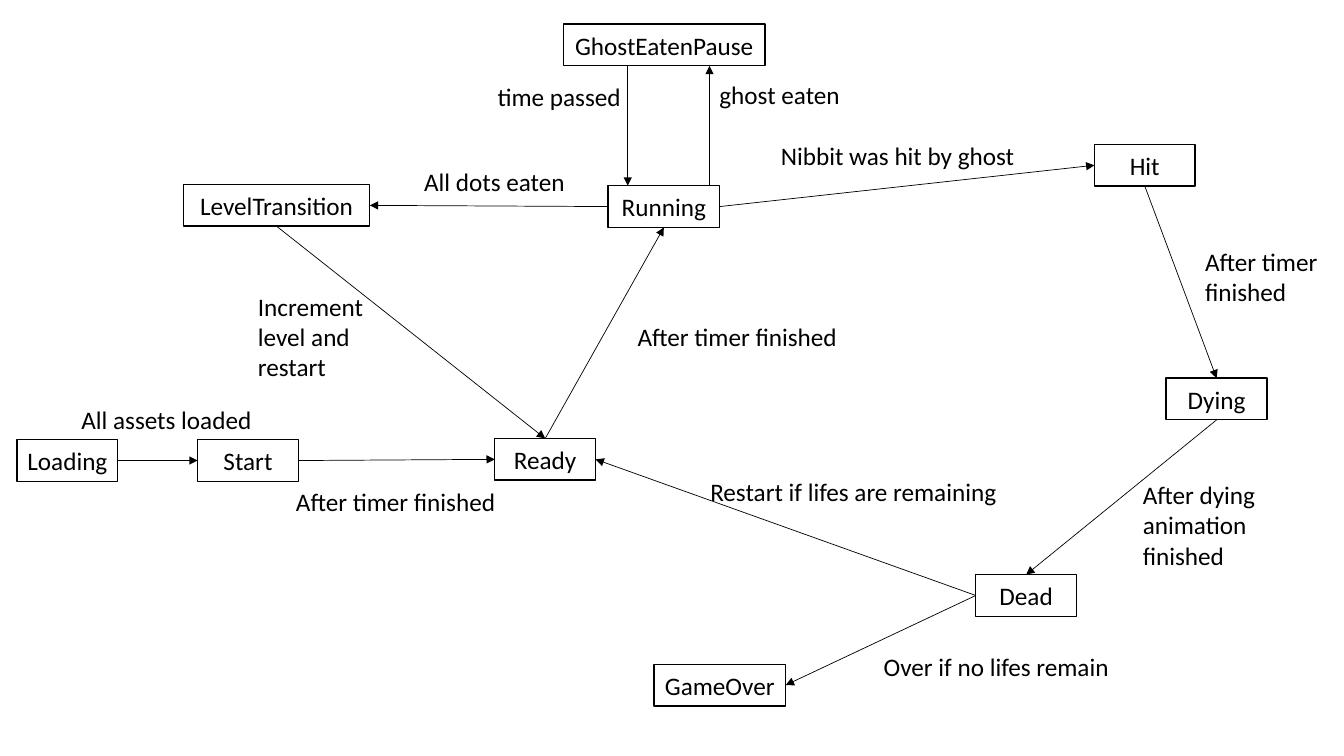
from lxml.etree import SubElement
from pptx import Presentation
from pptx.dml.color import RGBColor
from pptx.enum.shapes import MSO_CONNECTOR, MSO_SHAPE
from pptx.enum.text import MSO_ANCHOR, MSO_AUTO_SIZE, PP_ALIGN
from pptx.oxml.ns import qn
from pptx.util import Cm, Pt

TOP, LEFT, BOTTOM, RIGHT = range(4)
STATE_HEIGHT = 1.05
BLACK = "000000"
WHITE = "FFFFFF"


def color(value):
    return RGBColor.from_string(value)


def write(paragraph, text):
    run = paragraph.add_run()
    run.text = text
    run.font.name = "Calibri"
    run.font.size = Pt(18)
    run.font.color.rgb = color(BLACK)


presentation = Presentation()
presentation.slide_width = Cm(33.87)
presentation.slide_height = Cm(19.05)
slide = presentation.slides.add_slide(presentation.slide_layouts[6])

states = [
    ("Ready", 12.47, 11.05, 2.54),
    ("Running", 15.32, 4.68, 2.82),
    ("Hit", 27.58, 3.64, 2.54),
    ("Dying", 29.39, 9.53, 2.54),
    ("Dead", 24.59, 14.48, 2.54),
    ("GameOver", 16.48, 16.74, 3.32),
    ("Start", 4.98, 11.08, 2.54),
    ("LevelTransition", 4.62, 4.65, 4.7),
    ("Loading", 0.43, 11.08, 2.54),
    ("GhostEatenPause", 14.2, 0.61, 5.08),
]
boxes = {}
for name, left, top, width in states:
    shape = slide.shapes.add_shape(
        MSO_SHAPE.RECTANGLE, Cm(left), Cm(top), Cm(width), Cm(STATE_HEIGHT))
    shape.shadow.inherit = False
    shape.fill.solid()
    shape.fill.fore_color.rgb = color(WHITE)
    shape.line.color.rgb = color(BLACK)
    shape.line.width = Pt(1)
    shape.text_frame.vertical_anchor = MSO_ANCHOR.MIDDLE
    paragraph = shape.text_frame.paragraphs[0]
    paragraph.alignment = PP_ALIGN.CENTER
    write(paragraph, name)
    boxes[name] = shape

transitions = [
    ("Loading", RIGHT, "Start", LEFT),
    ("Start", RIGHT, "Ready", LEFT),
    ("Ready", TOP, "Running", BOTTOM),
    ("Running", RIGHT, "Hit", LEFT),
    ("Running", LEFT, "LevelTransition", RIGHT),
    ("LevelTransition", BOTTOM, "Ready", TOP),
    ("Hit", BOTTOM, "Dying", TOP),
    ("Dying", BOTTOM, "Dead", TOP),
    ("Dead", LEFT, "Ready", RIGHT),
    ("Dead", LEFT, "GameOver", RIGHT),
]
arrows = []
for source, source_side, target, target_side in transitions:
    connector = slide.shapes.add_connector(MSO_CONNECTOR.STRAIGHT, 0, 0, 0, 0)
    connector.begin_connect(boxes[source], source_side)
    connector.end_connect(boxes[target], target_side)
    arrows.append(connector)

pause_bottom = boxes["GhostEatenPause"].top + boxes["GhostEatenPause"].height
running_top = boxes["Running"].top
for x, start, end in [(17.88, running_top, pause_bottom),
                      (15.82, pause_bottom, running_top)]:
    arrows.append(slide.shapes.add_connector(
        MSO_CONNECTOR.STRAIGHT, Cm(x), start, Cm(x), end))

for connector in arrows:
    connector.line.color.rgb = color(BLACK)
    connector.line.width = Pt(0.5)
    properties = connector.line._get_or_add_ln()
    SubElement(properties, qn("a:tailEnd"), type="triangle")
    SubElement(connector._element.spPr, qn("a:effectLst"))

labels = [
    ("All dots eaten", 10.44, 4.06, 4.09, 1),
    ("Increment level and restart", 6.25, 7.21, 4.32, 3),
    ("Nibbit was hit by ghost", 19.43, 3.4, 6.91, 1),
    ("After timer finished", 15.82, 7.98, 5.61, 1),
    ("After timer finished", 30.12, 6.07, 3.45, 2),
    ("After dying animation finished", 28.55, 11.96, 3.45, 3),
    ("Restart if lifes are remaining", 17.65, 11.89, 7.8, 1),
    ("Over if no lifes remain", 22.02, 16.28, 6.25, 1),
    ("After timer finished", 7.21, 12.12, 5.61, 1),
    ("All assets loaded", 1.8, 10.06, 4.85, 1),
    ("ghost eaten", 17.88, 1.88, 3.58, 1),
    ("time passed", 12.29, 1.93, 3.66, 1),
]
for text, left, top, width, lines in labels:
    label = slide.shapes.add_textbox(
        Cm(left), Cm(top), Cm(width), Cm(0.25 + 0.77 * lines))
    label.text_frame.word_wrap = lines > 1
    label.text_frame.auto_size = MSO_AUTO_SIZE.SHAPE_TO_FIT_TEXT
    write(label.text_frame.paragraphs[0], text)

presentation.save("out.pptx")
